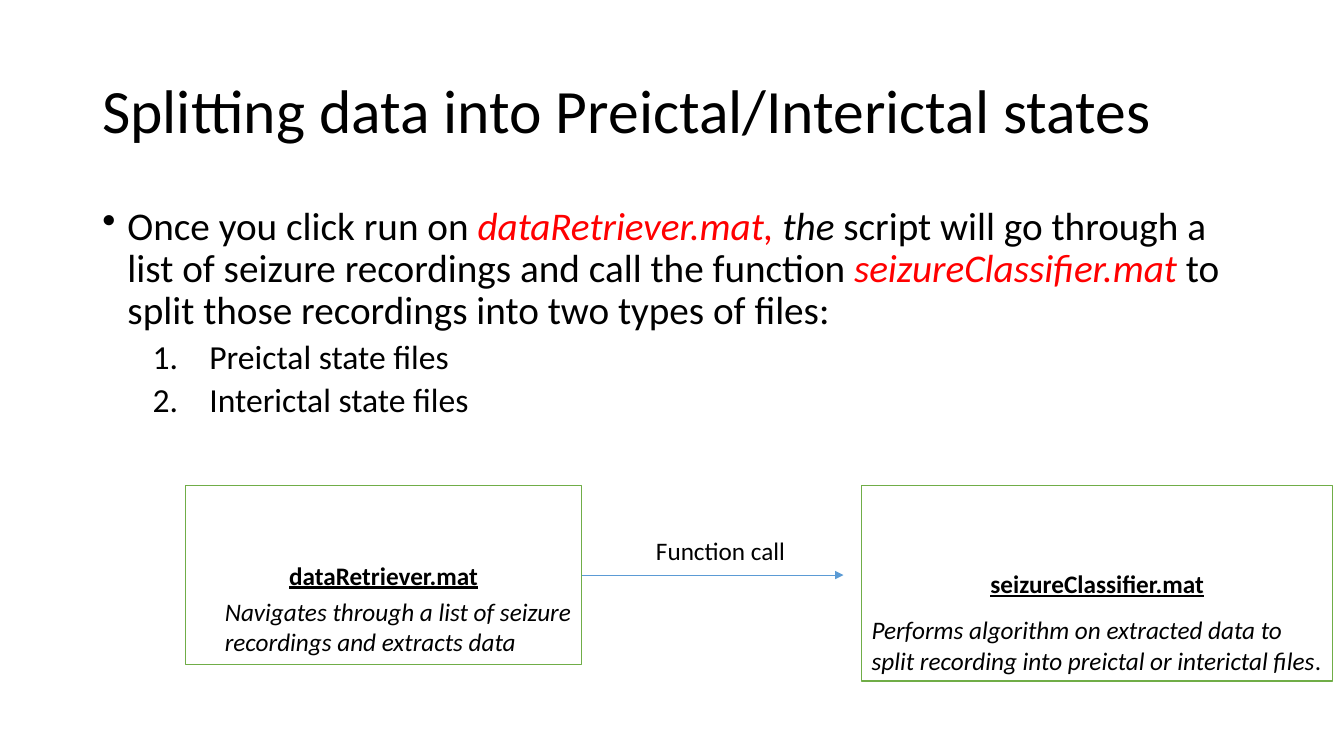
"""Build the slide on splitting recordings into preictal and interictal states."""
import lxml.etree
import pptx
import pptx.dml.color
import pptx.enum.shapes
import pptx.enum.text
import pptx.oxml.ns
import pptx.util

Pt = pptx.util.Pt
qn = pptx.oxml.ns.qn
ANCHOR = pptx.enum.text.MSO_ANCHOR
COLORS = {"black": "000000", "white": "FFFFFF", "red": "FF0000", "green": "70AD47", "blue": "5B9BD5"}
PALETTE = {name: pptx.dml.color.RGBColor.from_string(value) for name, value in COLORS.items()}

PLAIN = {"name": "Calibri", "color": "black"}
ITALIC = {**PLAIN, "italic": True}
SCRIPT_MENTION = {**ITALIC, "color": "red"}
SCRIPT_HEADING = {**PLAIN, "bold": True, "underline": True}

TITLE_SIZE, BODY_SIZE, LIST_SIZE, DIAGRAM_SIZE = 44, 28, 24, 18
TEXT_LEFT, TEXT_WIDTH = 66, 828
BOX_TOP = 347
ARROW_END = 602.5


def add_runs(paragraph, runs, size):
    for text, formats in runs:
        run = paragraph.add_run()
        run.text = text
        run.font.size = Pt(size)
        for name, value in formats.items():
            if name == "color":
                run.font.color.rgb = PALETTE[value]
            else:
                setattr(run.font, name, value)


def add_text_box(bounds, lines, size, wrap=False, anchor=ANCHOR.TOP):
    frame = slide.shapes.add_textbox(*map(Pt, bounds)).text_frame
    frame.word_wrap = wrap
    frame.vertical_anchor = anchor
    for index, runs in enumerate(lines):
        paragraph = frame.add_paragraph() if index else frame.paragraphs[0]
        add_runs(paragraph, runs, size)
    return frame


presentation = pptx.Presentation()
presentation.slide_width, presentation.slide_height = Pt(960), Pt(540)
slide = presentation.slides.add_slide(presentation.slide_layouts[6])

title_runs = [("Splitting data into Preictal/Interictal states", PLAIN)]
title = add_text_box(
    (TEXT_LEFT, 28.75, TEXT_WIDTH, 104.5), [title_runs], TITLE_SIZE, True, ANCHOR.MIDDLE)
title.paragraphs[0].line_spacing = 0.9

introduction = [
    ("Once you click run on ", PLAIN),
    ("dataRetriever.mat, ", SCRIPT_MENTION),
    ("the ", ITALIC),
    ("script will go through a list of seizure recordings and call the function ", PLAIN),
    ("seizureClassifier.mat ", SCRIPT_MENTION),
    ("to split those recordings into two types of files:", PLAIN),
]
bullet = ("a:buChar", {"char": "•"})
number = ("a:buAutoNum", {"type": "arabicPeriod"})
body_paragraphs = [
    (introduction, BODY_SIZE, 0, 10, 18, -18, bullet),
    ([("Preictal state files", PLAIN)], LIST_SIZE, 1, 5, 76.5, -40.5, number),
    ([("Interictal state files", PLAIN)], LIST_SIZE, 1, 5, 76.5, -40.5, number),
]
body = add_text_box((TEXT_LEFT, 143.75, TEXT_WIDTH, 342.5), [], BODY_SIZE, True)
for index, (runs, size, level, space, margin, indent, marker) in enumerate(body_paragraphs):
    paragraph = body.add_paragraph() if index else body.paragraphs[0]
    add_runs(paragraph, runs, size)
    for name, value in {"level": level, "line_spacing": 0.9, "space_before": Pt(space)}.items():
        setattr(paragraph, name, value)
    properties = paragraph._p.get_or_add_pPr()
    properties.set("marL", str(Pt(margin)))
    properties.set("indent", str(Pt(indent)))
    marker_tag, marker_attributes = marker
    lxml.etree.SubElement(properties, qn(marker_tag), marker_attributes)

script_boxes = {}
for script_name, left, width, height in (
        ("dataRetriever.mat", 132.5, 283, 127.5),
        ("seizureClassifier.mat", 615.5, 336.5, 139.5)):
    shape = slide.shapes.add_shape(
        pptx.enum.shapes.MSO_SHAPE.RECTANGLE, Pt(left), Pt(BOX_TOP), Pt(width), Pt(height))
    shape.shadow.inherit = False
    shape.fill.solid()
    shape.fill.fore_color.rgb = PALETTE["white"]
    shape.line.color.rgb = PALETTE["green"]
    shape.line.width = Pt(1)
    shape.text_frame.vertical_anchor = ANCHOR.MIDDLE
    heading = shape.text_frame.paragraphs[0]
    heading.alignment = pptx.enum.text.PP_ALIGN.CENTER
    add_runs(heading, [(script_name, SCRIPT_HEADING)], DIAGRAM_SIZE)
    script_boxes[script_name] = shape

retriever = script_boxes["dataRetriever.mat"]
retriever_right = retriever.left + retriever.width
retriever_middle = retriever.top + retriever.height // 2
arrow = slide.shapes.add_connector(
    pptx.enum.shapes.MSO_CONNECTOR.STRAIGHT,
    retriever_right, retriever_middle, Pt(ARROW_END), retriever_middle)
arrow.begin_connect(retriever, 3)
arrow.line.color.rgb = PALETTE["blue"]
arrow.line.width = Pt(0.5)
arrow_properties = arrow._element.spPr
lxml.etree.SubElement(arrow_properties.find(qn("a:ln")), qn("a:tailEnd"), {"type": "triangle"})
lxml.etree.SubElement(arrow_properties, qn("a:effectLst"))

retriever_description = [
    [("Navigates through a list of seizure", ITALIC)],
    [("recordings and extracts data", ITALIC)],
]
classifier_description = [
    [("Performs algorithm on extracted data to", ITALIC)],
    [("split recording into preictal or interictal files", ITALIC), (".", PLAIN)],
]
for bounds, lines in (
        ((461.5, 378.5, 108, 29), [[("Function call", PLAIN)]]),
        ((153.5, 422.5, 267, 51), retriever_description),
        ((615.5, 435.5, 339, 51), classifier_description)):
    add_text_box(bounds, lines, DIAGRAM_SIZE)

presentation.save("out.pptx")
